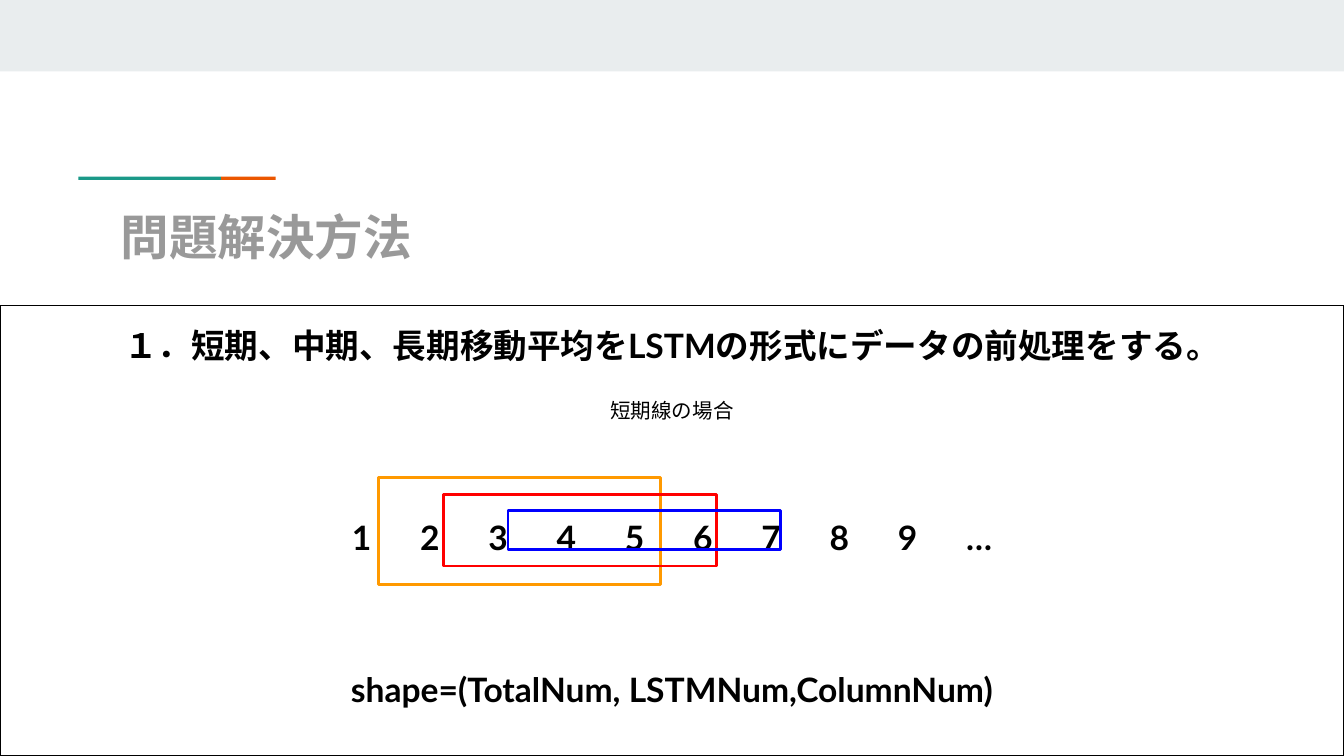
from lxml.etree import SubElement
from pptx import Presentation
from pptx.dml.color import RGBColor
from pptx.enum.shapes import MSO_SHAPE
from pptx.enum.text import MSO_ANCHOR, MSO_AUTO_SIZE, PP_ALIGN
from pptx.oxml.ns import qn
from pptx.util import Cm, Pt

TITLE = "問題解決方法"
SERIES = ["1", "2", "3", "4", "5", "6", "7", "8", "9", "…"]
SERIES_LEFT, SERIES_STEP = 6.4, 1.29

# text, font format, space before in points
BODY = [
    ("１．短期、中期、長期移動平均をLSTMの形式にデータの前処理をする。", {"size": Pt(18), "bold": True}, 0),
    ("短期線の場合", {"size": Pt(11), "bold": False}, 16),
    ("".join("\t" + number for number in SERIES), {"size": Pt(18), "bold": True}, 47),
    ("shape=(TotalNum, LSTMNum,ColumnNum)", {"size": Pt(18), "bold": True}, 57),
]

# left, top, width, height in cm, colour
BANDS = [
    (0, 0, 25.4, 1.35, "E9EDEE"),
    (1.48, 3.34, 2.7, 0.06, "1A9988"),
    (4.18, 3.34, 1.03, 0.06, "EB5600"),
]
WINDOWS = [
    (7.16, 9.02, 5.33, 2.03, "FF9900"),
    (8.38, 9.35, 5.16, 1.35, "FF0000"),
    (9.6, 9.65, 5.16, 0.74, "0000FF"),
]


def colour(value):
    return RGBColor.from_string(value)


def add_rectangle(slide, left, top, width, height, fill=None, line=None, weight=1.5):
    shape = slide.shapes.add_shape(
        MSO_SHAPE.RECTANGLE, Cm(left), Cm(top), Cm(width), Cm(height))
    shape.shadow.inherit = False
    if fill:
        shape.fill.solid()
        shape.fill.fore_color.rgb = colour(fill)
    else:
        shape.fill.background()
    if line:
        shape.line.color.rgb = colour(line)
        shape.line.width = Pt(weight)
    else:
        shape.line.fill.background()
    return shape


def format_frame(frame):
    settings = {
        "word_wrap": True, "auto_size": MSO_AUTO_SIZE.NONE,
        "vertical_anchor": MSO_ANCHOR.TOP,
        "margin_left": Cm(0.25), "margin_right": Cm(0.25),
        "margin_top": Cm(0.25), "margin_bottom": Cm(0.25),
    }
    for name, value in settings.items():
        setattr(frame, name, value)


def write(paragraph, text, font_name, font_colour, font_format):
    run = paragraph.add_run()
    run.text = text
    run.font.name = font_name
    run.font.color.rgb = colour(font_colour)
    for name, value in font_format.items():
        setattr(run.font, name, value)


def add_tab_stops(paragraph):
    """Give each number of the series its own evenly spaced tab stop."""
    tab_list = SubElement(paragraph._p.get_or_add_pPr(), qn("a:tabLst"))
    for index in range(len(SERIES)):
        position = Cm(SERIES_LEFT + index * SERIES_STEP)
        SubElement(tab_list, qn("a:tab"), pos=str(int(position)), algn="l")


def add_title(slide):
    title = slide.shapes.title
    title.left, title.top, title.width, title.height = Cm(2.03), Cm(3.66), Cm(21.36), Cm(1.5)
    format_frame(title.text_frame)
    paragraph = title.text_frame.paragraphs[0]
    paragraph.alignment = PP_ALIGN.LEFT
    write(paragraph, TITLE, "Manrope", "999999", {"size": Pt(26), "bold": True})


def add_body(slide):
    frame = add_rectangle(slide, 0, 5.77, 25.4, 8.51, line="000000", weight=0.75).text_frame
    format_frame(frame)
    for index, (text, font_format, space_before) in enumerate(BODY):
        paragraph = frame.add_paragraph() if index else frame.paragraphs[0]
        tabbed = "\t" in text
        paragraph.alignment = PP_ALIGN.LEFT if tabbed else PP_ALIGN.CENTER
        paragraph.line_spacing = 1.15
        paragraph.space_before = Pt(space_before)
        if tabbed:
            add_tab_stops(paragraph)
        write(paragraph, text, "Lato", "000000", font_format)


def main():
    presentation = Presentation()
    presentation.slide_width, presentation.slide_height = Cm(25.4), Cm(14.29)
    slide = presentation.slides.add_slide(presentation.slide_layouts[5])
    for *place, fill in BANDS:
        add_rectangle(slide, *place, fill=fill)
    add_title(slide)
    add_body(slide)
    for *place, line in WINDOWS:
        add_rectangle(slide, *place, line=line)
    presentation.save("out.pptx")


if __name__ == "__main__":
    main()
